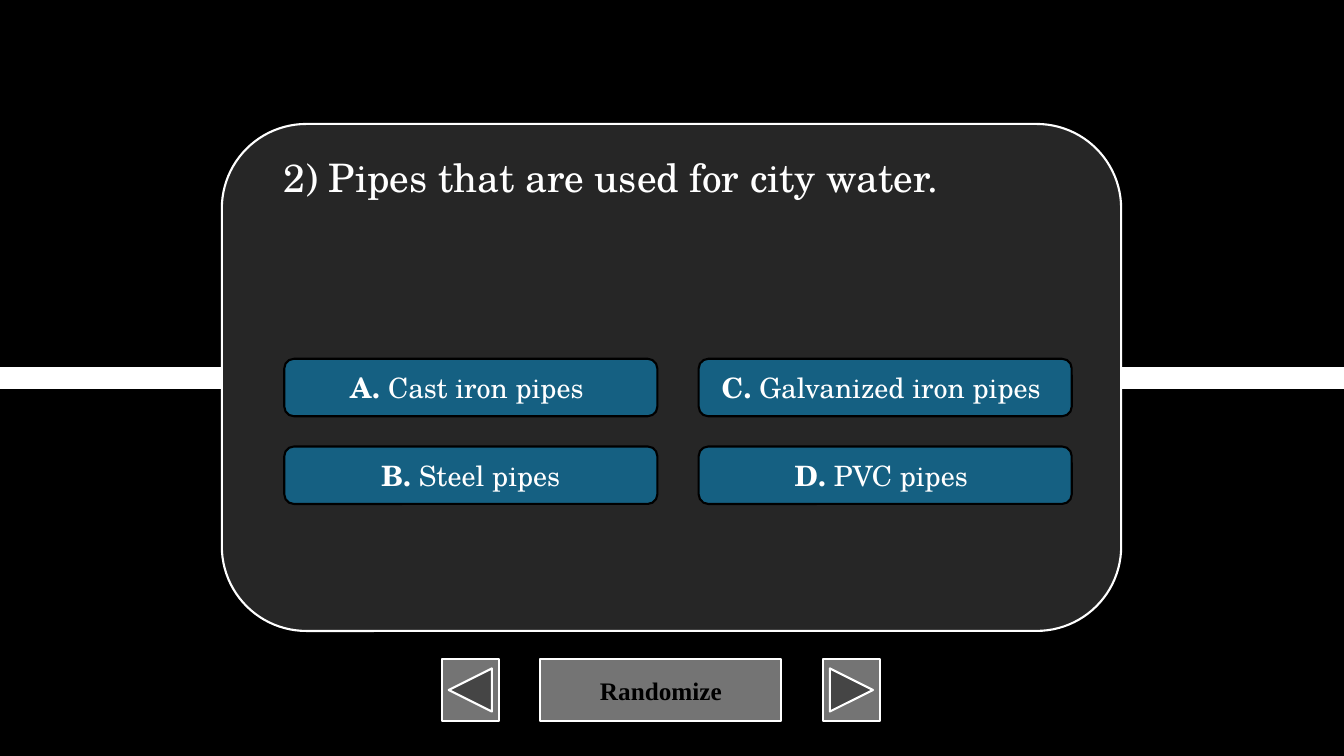
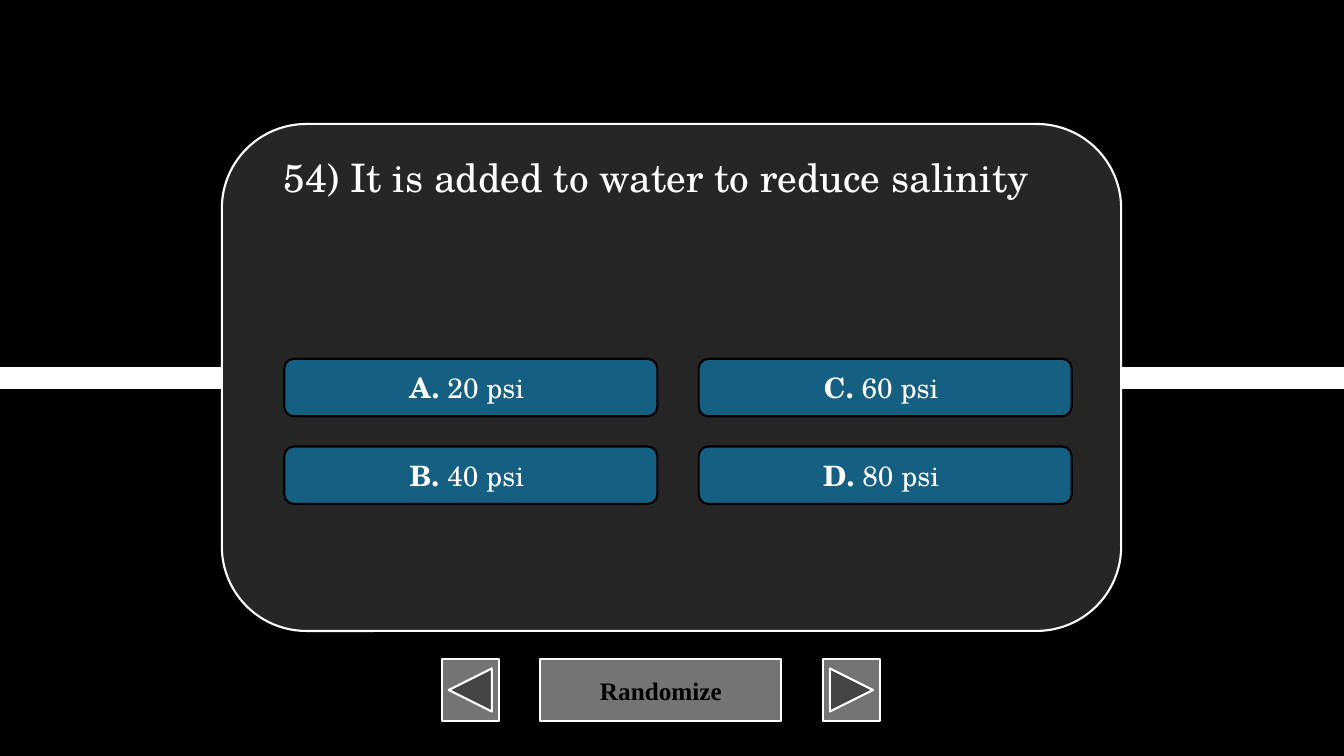
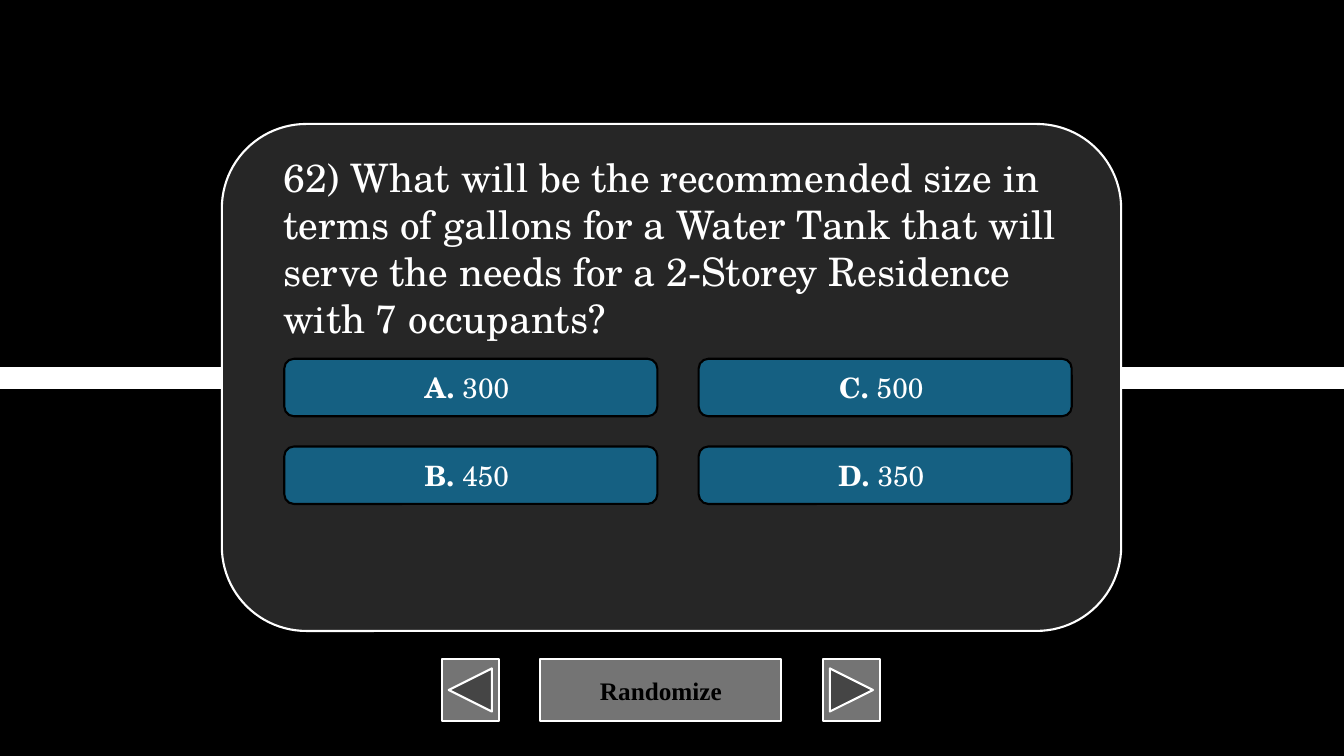
from lxml import etree
from pptx import Presentation
from pptx import util as u
from pptx.dml.color import RGBColor
from pptx.enum import shapes as es, text as et
from pptx.oxml.ns import qn

BLACK = RGBColor(0x00, 0x00, 0x00)
WHITE = RGBColor(0xFF, 0xFF, 0xFF)
CARD_GREY = RGBColor(0x26, 0x26, 0x26)
BUTTON_GREY = RGBColor(0x74, 0x74, 0x74)
ANSWER_BLUE = RGBColor(0x15, 0x60, 0x82)

QUIZ_FONT = "TeX Gyre Schola"
BUTTON_FONT = "Times New Roman"

# Lengths in inches
SLIDE_W, SLIDE_H = 13.33, 7.5
CARD = (2.2, 1.23, 8.92, 5.03)
QUESTION_LEFT, QUESTION_TOP, QUESTION_W = 2.71, 1.47, 7.92
QUESTION_PADDING, QUESTION_LINE = 0.1, 0.47
ANSWER_LEFT, ANSWER_TOP, ANSWER_W, ANSWER_H = 2.82, 3.56, 3.7, 0.57
COLUMN_STEP, ROW_STEP = 4.11, 0.87
NAV_LEFT, NAV_TOP, NAV_H, NAV_GAP = 4.38, 6.54, 0.61, 0.41

SHAPE = es.MSO_SHAPE
NAV_BUTTONS = [
    (SHAPE.ACTION_BUTTON_BACK_OR_PREVIOUS, 0.57, ""),
    (SHAPE.ACTION_BUTTON_CUSTOM, 2.39, "Randomize"),
    (SHAPE.ACTION_BUTTON_FORWARD_OR_NEXT, 0.57, ""),
]

# Question, number of lines it takes, answers A to D
QUIZ = [
    ("2) Pipes that are used for city water.", 1,
     ["Cast iron pipes ", "Steel pipes", "Galvanized iron pipes ", "PVC pipes "]),
    ("54) It is added to water to reduce salinity", 1,
     ["20 psi ", "40 psi ", "60 psi ", "80 psi "]),
    ("62) What will be the recommended size in terms of gallons for a Water Tank "
     "that will serve the needs for a 2-Storey Residence with 7 occupants?", 4,
     ["300 ", "450 ", "500 ", "350 "]),
]


def style_font(font, name, size, color):
    font.name = name
    font.size = u.Pt(size)
    font.color.rgb = color


def add_panel(slide, preset, box, fill, outline):
    panel = slide.shapes.add_shape(preset, *map(u.Inches, box))
    panel.shadow.inherit = False
    panel.fill.solid()
    panel.fill.fore_color.rgb = fill
    panel.line.color.rgb = outline
    panel.line.width = u.Pt(1.5)
    return panel


def centred_paragraph(panel):
    panel.text_frame.vertical_anchor = et.MSO_ANCHOR.MIDDLE
    paragraph = panel.text_frame.paragraphs[0]
    paragraph.alignment = et.PP_ALIGN.CENTER
    return paragraph


def add_middle_band(slide):
    middle = u.Inches(SLIDE_H / 2)
    band = slide.shapes.add_connector(
        es.MSO_CONNECTOR.STRAIGHT, 0, middle, u.Inches(SLIDE_W), middle)
    band.line.color.rgb = WHITE
    band.line.width = u.Pt(16)
    etree.SubElement(band.element.spPr, qn("a:effectLst"))


def add_navigation(slide):
    left = NAV_LEFT
    for preset, width, label in NAV_BUTTONS:
        button = add_panel(slide, preset, (left, NAV_TOP, width, NAV_H), BUTTON_GREY, WHITE)
        if label:
            paragraph = centred_paragraph(button)
            paragraph.text = label
            style_font(paragraph.font, BUTTON_FONT, 18, BLACK)
            paragraph.font.bold = True
        left += width + NAV_GAP


def add_answers(slide, answers):
    """Fill a two by two grid down its columns, lettered from A."""
    for index, (letter, answer) in enumerate(zip("ABCD", answers)):
        column, row = divmod(index, 2)
        box = (ANSWER_LEFT + column * COLUMN_STEP, ANSWER_TOP + row * ROW_STEP,
               ANSWER_W, ANSWER_H)
        button = add_panel(slide, SHAPE.ROUNDED_RECTANGLE, box, ANSWER_BLUE, BLACK)
        paragraph = centred_paragraph(button)
        for wording, bold in ((f"{letter}. ", True), (answer, False)):
            run = paragraph.add_run()
            run.text = wording
            style_font(run.font, QUIZ_FONT, 20, WHITE)
            run.font.bold = bold


def set_question(slide, question, lines):
    """Write the question in the title and bring it in front of the card."""
    title = slide.shapes.title
    title.left, title.top = u.Inches(QUESTION_LEFT), u.Inches(QUESTION_TOP)
    title.width = u.Inches(QUESTION_W)
    title.height = u.Inches(QUESTION_PADDING + lines * QUESTION_LINE)
    frame = title.text_frame
    frame.word_wrap = True
    frame.auto_size = et.MSO_AUTO_SIZE.SHAPE_TO_FIT_TEXT
    frame.vertical_anchor = et.MSO_ANCHOR.TOP
    paragraph = frame.paragraphs[0]
    paragraph.text = question
    paragraph.alignment = et.PP_ALIGN.LEFT
    style_font(paragraph.font, QUIZ_FONT, 28, WHITE)
    title.element.getparent().append(title.element)


def add_quiz_slide(deck, question, lines, answers):
    slide = deck.slides.add_slide(deck.slide_layouts.get_by_name("Title Only"))
    add_middle_band(slide)
    add_navigation(slide)
    add_panel(slide, SHAPE.ROUNDED_RECTANGLE, CARD, CARD_GREY, WHITE)
    add_answers(slide, answers)
    set_question(slide, question, lines)


def main():
    deck = Presentation()
    deck.slide_width, deck.slide_height = u.Inches(SLIDE_W), u.Inches(SLIDE_H)
    backdrop = deck.slide_master.background.fill
    backdrop.solid()
    backdrop.fore_color.rgb = BLACK
    for question, lines, answers in QUIZ:
        add_quiz_slide(deck, question, lines, answers)
    deck.save("out.pptx")


if __name__ == "__main__":
    main()
